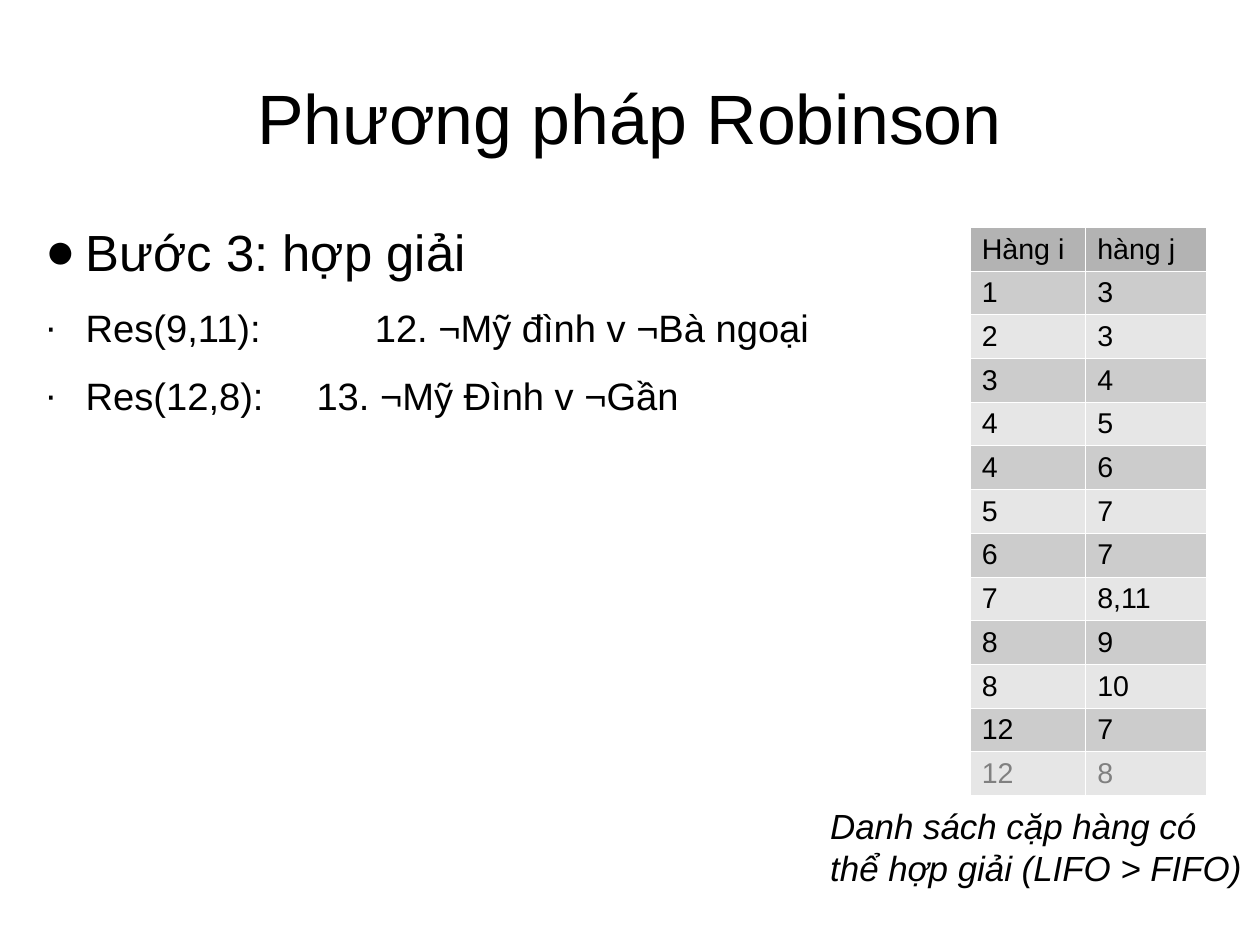
import pptx
import pptx.dml.color
import pptx.enum.text
import pptx.oxml
import pptx.oxml.ns
import pptx.util

Inches = pptx.util.Inches
SLIDE_WIDTH, SLIDE_HEIGHT = pptx.util.Cm(28), pptx.util.Cm(21)
WIDTH, HEIGHT = SLIDE_WIDTH.inches, SLIDE_HEIGHT.inches
FONT = "Arial"
BLACK, WHITE, GREY = "000000", "FFFFFF", "808080"
HEADER_FILL, ODD_FILL, EVEN_FILL = "B3B3B3", "CCCCCC", "E6E6E6"
COLUMN_WIDTHS = (1.01, 1.06)
TABLE_HEIGHT = 4.97
BODY_INDENT, BULLET_HANG = 0.47, 0.35

ROW_PAIRS = [
    ("Hàng i", "hàng j"),
    ("1", "3"), ("2", "3"), ("3", "4"), ("4", "5"), ("4", "6"), ("5", "7"),
    ("6", "7"), ("7", "8,11"), ("8", "9"), ("8", "10"), ("12", "7"), ("12", "8"),
]
# bullet, text, size, space before, tab stop
STEPS = [
    ("●", "Bước 3: hợp giải", 32, 0, None),
    ("∙", "Res(9,11): \t12. ¬Mỹ đình v ¬Bà ngoại", 24, 14.2, 3.0),
    ("∙", "Res(12,8):\t13. ¬Mỹ Đình v ¬Gần", 24, 14.2, 2.49),
]


def rgb(color):
    return pptx.dml.color.RGBColor.from_string(color)


def add_xml(parent, markup):
    namespace = pptx.oxml.ns.nsdecls("a")
    tag, rest = markup.split(" ", 1)
    parent.append(pptx.oxml.parse_xml(f"<{tag} {namespace} {rest}"))


def style_font(paragraph, size, color=BLACK, italic=False):
    font = paragraph.font
    font.name = FONT
    font.size = pptx.util.Pt(size)
    font.color.rgb = rgb(color)
    font.italic = italic


def add_text_frame(slide, left, top, width, height, inset=(0, 0)):
    shape = slide.shapes.add_textbox(*map(Inches, (left, top, width, height)))
    frame = shape.text_frame
    frame.word_wrap = True
    frame.margin_left = frame.margin_right = Inches(inset[0])
    frame.margin_top = frame.margin_bottom = Inches(inset[1])
    return frame


def add_title(slide, text):
    frame = add_text_frame(slide, WIDTH * 0.05, HEIGHT * 0.04, WIDTH * 0.9, HEIGHT / 6)
    frame.vertical_anchor = pptx.enum.text.MSO_ANCHOR.MIDDLE
    paragraph = frame.paragraphs[0]
    paragraph.text = text
    paragraph.alignment = pptx.enum.text.PP_ALIGN.CENTER
    style_font(paragraph, 44)


def add_steps(slide):
    frame = add_text_frame(slide, 0.28, 1.93, WIDTH * 0.9, HEIGHT * 0.58)
    for index, (bullet, text, size, space_before, tab) in enumerate(STEPS):
        paragraph = frame.add_paragraph() if index else frame.paragraphs[0]
        paragraph.text = text
        paragraph.space_before = pptx.util.Pt(space_before)
        properties = paragraph._p.get_or_add_pPr()
        properties.set("marL", str(Inches(BODY_INDENT)))
        properties.set("indent", str(-Inches(BULLET_HANG)))
        add_xml(properties, f'a:buClr ><a:srgbClr val="{BLACK}"/></a:buClr>')
        add_xml(properties, f'a:buFont typeface="{FONT}"/>')
        add_xml(properties, f'a:buChar char="{bullet}"/>')
        if tab:
            add_xml(properties, f'a:tabLst ><a:tab pos="{Inches(tab)}" algn="l"/></a:tabLst>')
        style_font(paragraph, size)


def fill_cell(cell, text, fill, color):
    cell.text = text
    cell.margin_bottom = Inches(0.03)
    style_font(cell.text_frame.paragraphs[0], 18, color)
    properties = cell._tc.get_or_add_tcPr()
    for side in ("lnL", "lnR", "lnT", "lnB"):
        add_xml(properties, f'a:{side} w="{pptx.util.Pt(0.75)}"><a:solidFill>'
                            f'<a:srgbClr val="{WHITE}"/></a:solidFill></a:{side}>')
    cell.fill.solid()
    cell.fill.fore_color.rgb = rgb(fill)


def add_pair_table(slide):
    shape = slide.shapes.add_table(
        len(ROW_PAIRS), len(COLUMN_WIDTHS), Inches(8.49), Inches(1.99),
        Inches(sum(COLUMN_WIDTHS)), Inches(TABLE_HEIGHT))
    table = shape.table
    for column, width in zip(table.columns, COLUMN_WIDTHS):
        column.width = Inches(width)
    last = len(ROW_PAIRS) - 1
    for row, pair in enumerate(ROW_PAIRS):
        fill = HEADER_FILL if row == 0 else ODD_FILL if row % 2 else EVEN_FILL
        for column, text in enumerate(pair):
            fill_cell(table.cell(row, column), text, fill, GREY if row == last else BLACK)


def add_caption(slide, text):
    frame = add_text_frame(slide, WIDTH * 0.65, 6.99, WIDTH * 0.35, 1.12, inset=(0.1, 0.05))
    paragraph = frame.paragraphs[0]
    paragraph.text = text
    style_font(paragraph, 22, italic=True)


def main():
    presentation = pptx.Presentation()
    presentation.slide_width = SLIDE_WIDTH
    presentation.slide_height = SLIDE_HEIGHT
    slide = presentation.slides.add_slide(presentation.slide_layouts[6])
    add_title(slide, "Phương pháp Robinson")
    add_steps(slide)
    add_pair_table(slide)
    add_caption(slide, "Danh sách cặp hàng có thể hợp giải (LIFO > FIFO)")
    presentation.save("out.pptx")


if __name__ == "__main__":
    main()
